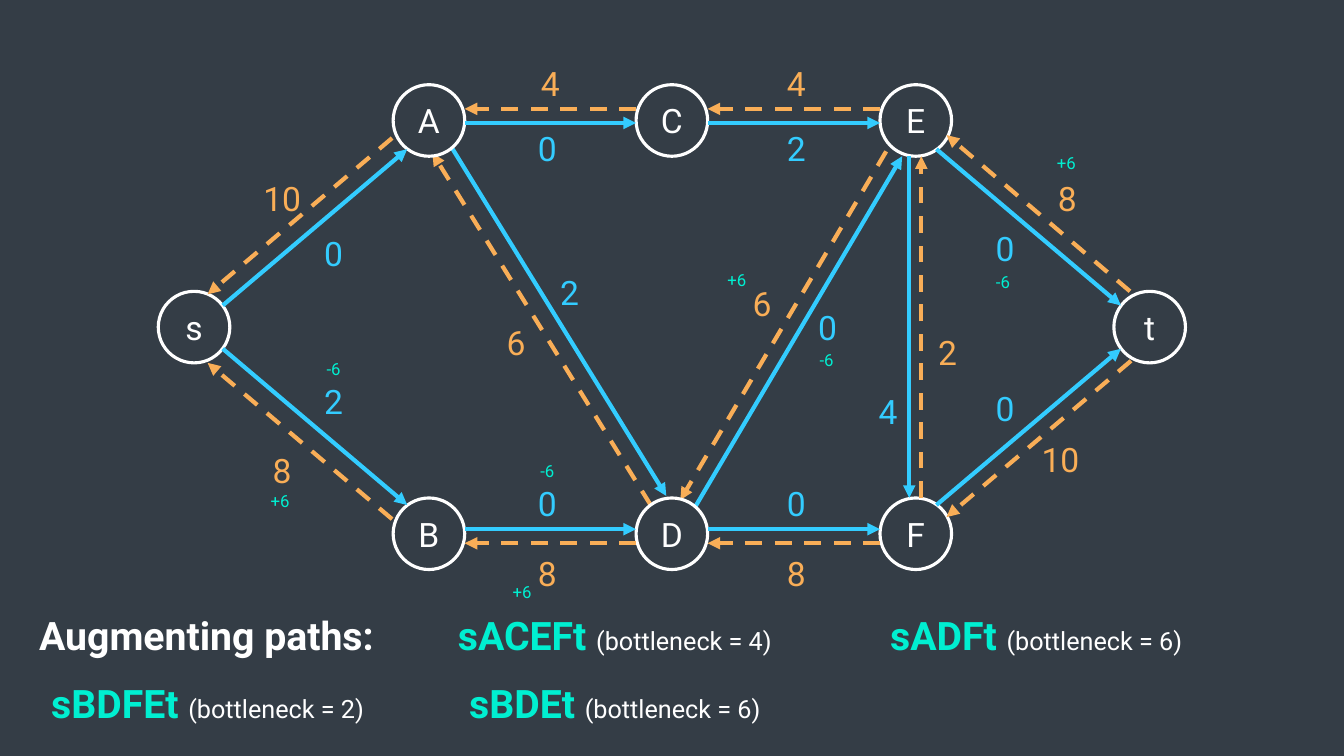
from dataclasses import dataclass

from pptx import Presentation
from pptx.dml.color import RGBColor
from pptx.enum.dml import MSO_LINE
from pptx.enum.shapes import MSO_CONNECTOR, MSO_SHAPE
from pptx.enum.text import MSO_ANCHOR, MSO_AUTO_SIZE, PP_ALIGN
from pptx.oxml.ns import qn
from pptx.util import Inches, Pt
from lxml.etree import SubElement

COLS, ROWS = 133.33, 75
RADIUS = 3.55


@dataclass(frozen=True)
class Theme:
    font: str = "Roboto"
    background: RGBColor = RGBColor(0x34, 0x3D, 0x46)
    white: RGBColor = RGBColor(0xFF, 0xFF, 0xFF)
    forward: RGBColor = RGBColor(0x33, 0xCC, 0xFF)
    backward: RGBColor = RGBColor(0xF9, 0xAE, 0x57)
    accent: RGBColor = RGBColor(0x00, 0xEF, 0xD1)
    heading: int = 28
    label: int = 24
    detail: int = 18
    change: int = 12
    arrow_width: float = 3
    ring_width: float = 2.25


class Board:
    def __init__(self, prs, theme):
        self.theme = theme
        self.col = prs.slide_width / COLS
        self.row = prs.slide_height / ROWS
        self.slide = prs.slides.add_slide(prs.slide_layouts[6])
        fill = self.slide.background.fill
        fill.solid()
        fill.fore_color.rgb = theme.background

    def place(self, x, y):
        return round(x * self.col), round(y * self.row)

    def style(self, font, size, color, bold=None):
        font.name = self.theme.font
        font.size = Pt(size)
        font.color.rgb = color
        font.bold = bold

    def node(self, name, x, y):
        t = self.theme
        sp = self.slide.shapes.add_shape(
            MSO_SHAPE.OVAL, *self.place(x - RADIUS, y - RADIUS), *self.place(2 * RADIUS, 2 * RADIUS)
        )
        sp.shadow.inherit = False
        sp.fill.solid()
        sp.fill.fore_color.rgb = t.background
        sp.line.color.rgb = t.white
        sp.line.width = Pt(t.ring_width)
        tf = sp.text_frame
        tf.vertical_anchor = MSO_ANCHOR.MIDDLE
        p = tf.paragraphs[0]
        p.text = name
        p.alignment = PP_ALIGN.CENTER
        self.style(p.font, t.label, t.white)

    def arrow(self, start, end, color, dashed=False):
        sp = self.slide.shapes.add_connector(
            MSO_CONNECTOR.STRAIGHT, *self.place(*start), *self.place(*end)
        )
        sp.line.color.rgb = color
        sp.line.width = Pt(self.theme.arrow_width)
        if dashed:
            sp.line.dash_style = MSO_LINE.DASH
        SubElement(sp.line._get_or_add_ln(), qn("a:tailEnd"), type="triangle")
        SubElement(sp._element.spPr, qn("a:effectLst"))

    def box(self, x, y, w, h, align=PP_ALIGN.CENTER):
        tf = self.slide.shapes.add_textbox(*self.place(x, y), *self.place(w, h)).text_frame
        tf.word_wrap = True
        tf.auto_size = MSO_AUTO_SIZE.SHAPE_TO_FIT_TEXT
        p = tf.paragraphs[0]
        p.alignment = align
        return tf, p

    def label(self, text, x, y, color):
        tf, p = self.box(x, y, 6.2, 4)
        tf.margin_left = tf.margin_right = tf.margin_top = tf.margin_bottom = 0
        p.text = text
        self.style(p.font, self.theme.label, color)

    def change(self, text, x, y):
        _, p = self.box(x, y, 5.6, 3)
        p.text = text
        self.style(p.font, self.theme.change, self.theme.accent)

    def heading(self, text, x, y):
        _, p = self.box(x, y, 40, 5.7, PP_ALIGN.LEFT)
        p.text = text
        self.style(p.font, self.theme.heading, self.theme.white, True)

    def augmenting_path(self, route, bottleneck, x, y):
        t = self.theme
        _, p = self.box(x, y, 36, 5.7)
        for text, size, color, bold in (
            (f"{route} ", t.heading, t.accent, True),
            (f"(bottleneck = {bottleneck})", t.detail, t.white, False),
        ):
            r = p.add_run()
            r.text = text
            self.style(r.font, size, color, bold)

    def edge(self, u, v, forward, backward):
        t = self.theme
        self.arrow(shift(u, forward[0]), shift(v, forward[1]), t.forward)
        self.arrow(shift(v, backward[0]), shift(u, backward[1]), t.backward, dashed=True)


def shift(node, offset):
    return tuple(a + b for a, b in zip(NODES[node], offset))


def level(dy):
    return (RADIUS, dy), (-RADIUS, dy)


def level_back(dy):
    return level(dy)[::-1]


TOP, MIDDLE, BOTTOM = 11.95, 32.45, 52.95
NODES = {
    "s": (19.25, MIDDLE), "t": (114.05, MIDDLE),
    "A": (42.55, TOP), "C": (66.65, TOP), "E": (90.85, TOP),
    "B": (42.55, BOTTOM), "D": (66.65, BOTTOM), "F": (90.85, BOTTOM),
}
UPPER = level(0.25), level_back(-1.15)
LOWER = level(-0.45), level_back(0.95)
CROSS_EDGES = [
    ("A", "D", ((0.45, -0.25), (-0.55, -3.75)), ((-0.55, -0.35), (0.35, 3.25))),
    ("D", "E", ((0.95, -0.35), (-1.35, 3.55)), ((-1.45, 0.55), (0.85, -3.35))),
]
OUTER_EDGES = [
    ("A", "C", *UPPER), ("C", "E", *UPPER),
    ("B", "D", *LOWER), ("D", "F", *LOWER),
    ("E", "F", ((-0.65, RADIUS), (-0.65, -RADIUS)), ((0.55, -RADIUS), (0.55, RADIUS))),
    ("s", "A", ((2.85, -2.15), (-2.15, 2.85)), ((-3.65, 1.75), (1.35, -3.25))),
    ("s", "B", ((2.85, 2.15), (-2.15, -2.85)), ((-3.65, -1.45), (1.35, 3.55))),
    ("E", "t", ((2.05, 2.85), (-2.85, -2.15)), ((-1.95, -3.55), (3.05, 1.45))),
    ("F", "t", ((2.05, -2.85), (-2.85, 2.15)), ((-1.85, 3.35), (3.05, -1.65))),
]
FORWARD_LABELS = [
    ("0", 30, 23.1), ("2", 30, 37.8), ("0", 51.2, 12.7), ("2", 75.9, 12.7),
    ("2", 53.4, 27), ("0", 79, 30.4), ("0", 51.2, 47.9), ("0", 75.9, 47.9),
    ("4", 85, 38.8), ("0", 96.6, 22.6), ("0", 96.6, 38.5),
]
BACKWARD_LABELS = [
    ("10", 24.9, 17.7), ("8", 24.9, 44.6), ("4", 51.5, 6.2), ("4", 75.9, 6.2),
    ("6", 48.1, 31.9), ("6", 72.5, 28.1), ("8", 51.2, 54.9), ("8", 75.9, 54.9),
    ("2", 90.9, 32.9), ("8", 102.8, 17.7), ("10", 102.1, 43.5),
]
CHANGES = [
    ("+6", 25, 48.2), ("-6", 30.3, 35.1), ("+6", 49, 57.2), ("-6", 51.5, 45.2),
    ("+6", 70.3, 26.3), ("-6", 79.2, 34.2), ("+6", 103, 14.7), ("-6", 96.7, 26.5),
]
FIRST_ROW, SECOND_ROW = 60.2, 66.9
PATHS = [
    ("sACEFt", 4, 43, FIRST_ROW), ("sADFt", 6, 84.8, FIRST_ROW),
    ("sBDFEt", 2, 2.6, SECOND_ROW), ("sBDEt", 6, 43, SECOND_ROW),
]


def main():
    prs = Presentation()
    prs.slide_width, prs.slide_height = Inches(13.33), Inches(7.5)
    theme = Theme()
    board = Board(prs, theme)
    for edge in CROSS_EDGES:
        board.edge(*edge)
    for name, center in NODES.items():
        board.node(name, *center)
    for edge in OUTER_EDGES:
        board.edge(*edge)
    for labels, color in ((FORWARD_LABELS, theme.forward), (BACKWARD_LABELS, theme.backward)):
        for label in labels:
            board.label(*label, color)
    board.heading("Augmenting paths:", 2.9, FIRST_ROW)
    for path in PATHS:
        board.augmenting_path(*path)
    for change in CHANGES:
        board.change(*change)
    prs.save("out.pptx")


if __name__ == "__main__":
    main()
